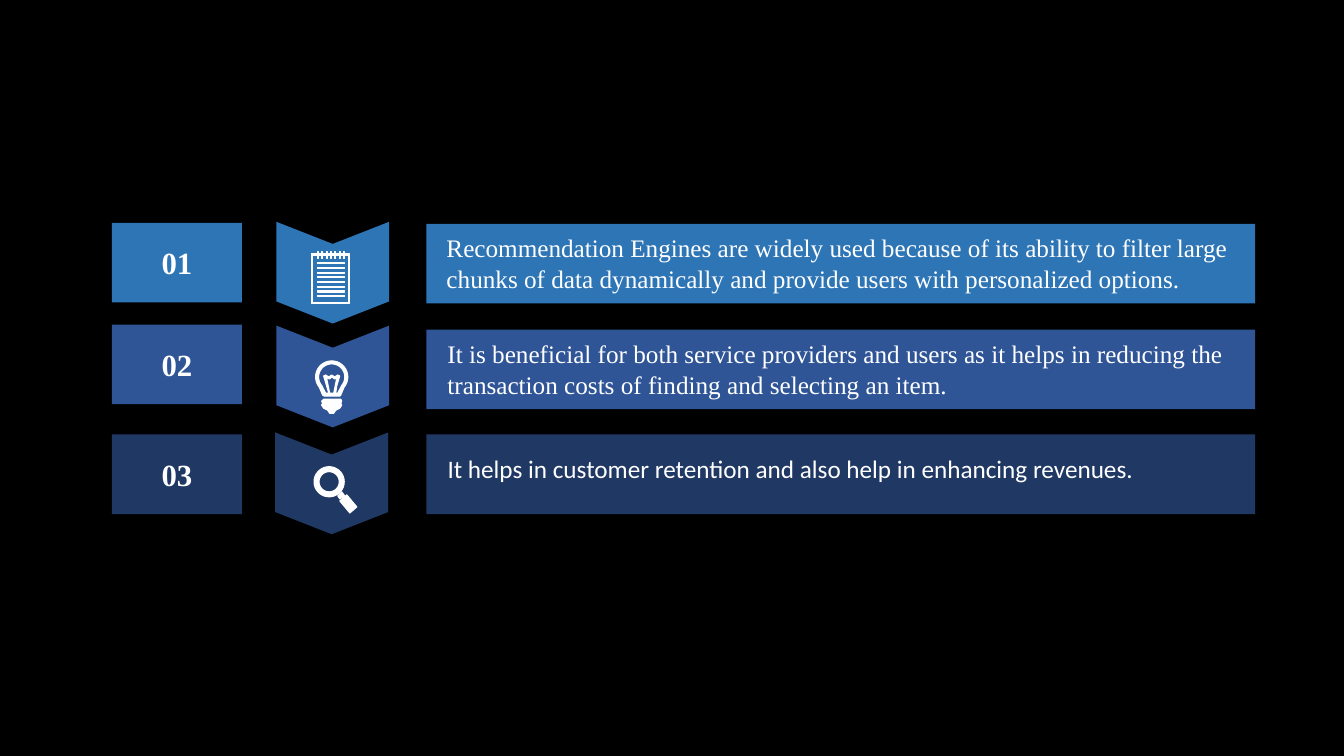
from math import cos, radians, sin

from pptx import Presentation
from pptx.dml.color import RGBColor
from pptx.enum import shapes, text
from pptx.util import Inches, Pt

COLORS = {
    "black": "000000", "white": "FFFFFF",
    "sky": "2E75B6", "royal": "2F5597", "navy": "203864",
}
SERIF = "Times New Roman"
ROWS = [
    {"number": "01", "color": "sky", "font": SERIF,
     "number_top": 2.21, "panel_top": 2.22, "arrow": (2.74, 2.2),
     "text_at": (4.33, 2.26, 8.01, 0.71),
     "text": "Recommendation Engines are widely used because of its ability to filter "
             "large chunks of data dynamically and provide users with personalized options."},
    {"number": "02", "color": "royal", "font": SERIF,
     "number_top": 3.22, "panel_top": 3.27, "arrow": (2.74, 3.23),
     "text_at": (4.34, 3.31, 8, 1.01),
     "text": "It is beneficial for both service providers and users as it helps in "
             "reducing the transaction costs of finding and selecting an item."},
    {"number": "03", "color": "navy", "font": "Calibri",
     "number_top": 4.31, "panel_top": 4.31, "arrow": (2.73, 4.29),
     "text_at": (4.34, 4.45, 8.05, 0.4),
     "text": "It helps in customer retention and also help in enhancing revenues."},
]
BAR_HEIGHT = 0.79
NUMBER_LEFT, NUMBER_WIDTH = 1.11, 1.29
PANEL_LEFT, PANEL_WIDTH = 4.23, 8.22
ARROW_WIDTH, ARROW_NOTCH = 1.12, 0.22


def rectangle(left, top, right, bottom):
    return [(left, top), (right, top), (right, bottom), (left, bottom)]


def arc(x, y, radius, start=0, end=360):
    return [(x + radius * cos(radians(angle)), y + radius * sin(radians(angle)))
            for angle in range(start, end, 10)]


def notepad():
    rings = [3.15 + 0.0425 * index for index in range(7)]
    rules = [2.605 + 0.047 * index for index in range(8)]
    return ([rectangle(3.09, 2.52, 3.47, 3.01), rectangle(3.1, 2.53, 3.46, 3)]
            + [rectangle(x, 2.5, x + 0.01, 2.56) for x in rings]
            + [rectangle(3.15, y, 3.42, y + 0.01) for y in rules])


def bulb():
    glass = arc(3.29, 3.74, 0.16, 140, 410) + [(3.38, 3.92), (3.37, 3.93), (3.22, 3.93), (3.2, 3.92)]
    hollow = arc(3.29, 3.74, 0.13, 140, 410) + [
        (3.35, 3.9), (3.33, 3.9), (3.34, 3.83), (3.37, 3.73), (3.35, 3.72),
        (3.32, 3.74), (3.29, 3.72), (3.26, 3.74), (3.23, 3.72), (3.21, 3.73),
        (3.24, 3.83), (3.26, 3.9), (3.23, 3.9)]
    filament = [(3.27, 3.9), (3.31, 3.9), (3.34, 3.75), (3.32, 3.76),
                (3.29, 3.74), (3.27, 3.76), (3.24, 3.75)]
    base = [(3.21, 3.96), (3.38, 3.96), (3.39, 3.98), (3.38, 4), (3.39, 4.02),
            (3.37, 4.05), (3.33, 4.07), (3.31, 4.1), (3.27, 4.1), (3.25, 4.07),
            (3.21, 4.05), (3.19, 4.02), (3.2, 4), (3.19, 3.98)]
    return [glass, hollow, filament, base]


def magnifier():
    neck = [(3.35, 4.92), (3.39, 4.88), (3.42, 4.92), (3.37, 4.95)]
    handle = [(3.37, 4.97), (3.44, 4.91), (3.54, 5.03), (3.47, 5.09)]
    return [arc(3.265, 4.78, 0.15), arc(3.265, 4.78, 0.1), neck, handle]


def paint(shape, color, outlined=False):
    shape.shadow.inherit = False
    shape.fill.solid()
    shape.fill.fore_color.rgb = RGBColor.from_string(COLORS[color])
    if outlined:
        shape.line.color.rgb = RGBColor.from_string(COLORS[color])
        shape.line.width = Pt(0.75)
    else:
        shape.line.fill.background()


def draw_outline(page, contours, color, outlined=False):
    contours = [[(Inches(x), Inches(y)) for x, y in contour] for contour in contours]
    builder = page.shapes.build_freeform(*contours[0][0])
    for index, contour in enumerate(contours):
        if index:
            builder.move_to(*contour[0])
        builder.add_line_segments(contour[1:], close=True)
    paint(builder.convert_to_shape(), color, outlined)


def draw_bar(page, left, top, width, color):
    bar = page.shapes.add_shape(shapes.MSO_SHAPE.RECTANGLE, Inches(left), Inches(top),
                                Inches(width), Inches(BAR_HEIGHT))
    paint(bar, color)
    return bar


def write(shape, words, font, size, bold=False):
    shape.text_frame.word_wrap = True
    para = shape.text_frame.paragraphs[0]
    para.text = words
    para.font.name = font
    para.font.size = Pt(size)
    para.font.bold = bold
    para.font.color.rgb = RGBColor.from_string(COLORS["white"])
    return para


def draw_row(page, row, icon):
    number = draw_bar(page, NUMBER_LEFT, row["number_top"], NUMBER_WIDTH, row["color"])
    number.text_frame.vertical_anchor = text.MSO_ANCHOR.MIDDLE
    write(number, row["number"], SERIF, 22, True).alignment = text.PP_ALIGN.CENTER

    left, top = row["arrow"]
    middle, right, bottom = left + ARROW_WIDTH / 2, left + ARROW_WIDTH, top + BAR_HEIGHT
    arrow = [(left, top), (left, bottom), (middle, bottom + ARROW_NOTCH),
             (right, bottom), (right, top), (middle, top + ARROW_NOTCH)]
    draw_outline(page, [arrow], row["color"])
    draw_outline(page, icon, "white", True)

    draw_bar(page, PANEL_LEFT, row["panel_top"], PANEL_WIDTH, row["color"])
    box = page.shapes.add_textbox(*map(Inches, row["text_at"]))
    write(box, row["text"], row["font"], 18)


def main():
    deck = Presentation()
    deck.slide_width, deck.slide_height = Inches(13.33), Inches(7.5)
    page = deck.slides.add_slide(deck.slide_layouts[6])
    page.background.fill.solid()
    page.background.fill.fore_color.rgb = RGBColor.from_string(COLORS["black"])
    for row, icon in zip(ROWS, (notepad(), bulb(), magnifier())):
        draw_row(page, row, icon)
    deck.save("out.pptx")


if __name__ == "__main__":
    main()
